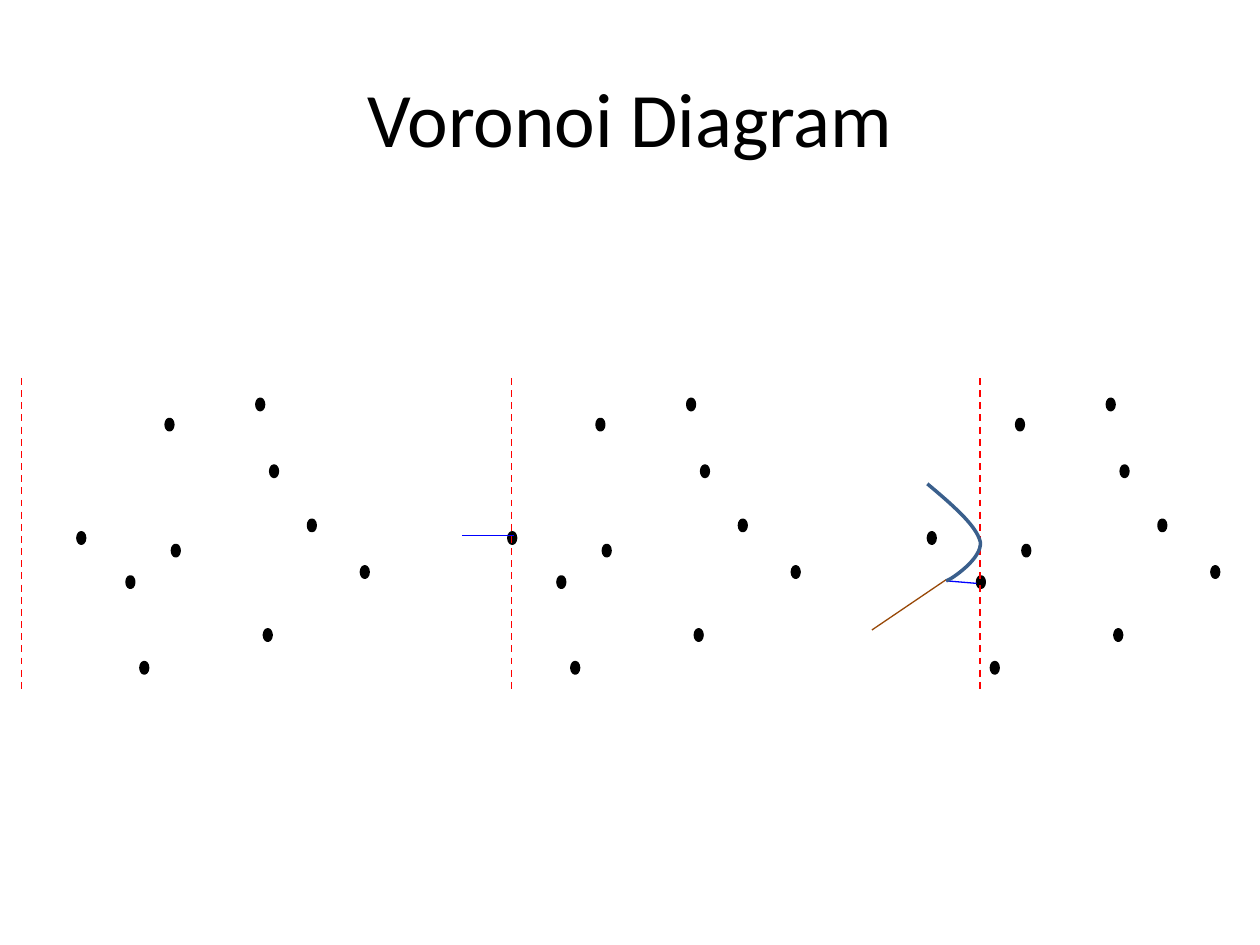
from dataclasses import dataclass
from typing import NamedTuple

from pptx import Presentation
from pptx.dml.color import RGBColor
from pptx.enum.dml import MSO_LINE
from pptx.enum.shapes import MSO_CONNECTOR, MSO_SHAPE
from pptx.enum.text import MSO_ANCHOR, PP_ALIGN
from pptx.oxml.ns import qn
from pptx.util import Inches, Pt

BLACK = RGBColor(0x00, 0x00, 0x00)
RED = RGBColor(0xFF, 0x00, 0x00)
BLUE = RGBColor(0x00, 0x00, 0xFF)
BROWN = RGBColor(0x98, 0x48, 0x07)
STEEL = RGBColor(0x3A, 0x5F, 0x8C)

DASH = MSO_LINE.DASH
STRAIGHT = MSO_CONNECTOR.STRAIGHT
OVAL = MSO_SHAPE.OVAL
MIDDLE = MSO_ANCHOR.MIDDLE
CENTER = PP_ALIGN.CENTER

COLUMNS, ROWS = 10, 7.5
SWEEP_TOP, SWEEP_BOTTOM = 3, 5.5
SITE_WIDTH, SITE_HEIGHT = 0.05, 0.08
CURVE_STEPS = 16


class Point(NamedTuple):
    col: float
    row: float


class Segment(NamedTuple):
    start: Point
    end: Point
    color: RGBColor
    width: float


@dataclass(frozen=True)
class Panel:
    offset: float
    sweep: float


SITES = [
    Point(1.37, 4.33), Point(2.15, 3.7), Point(0.62, 4.23), Point(2.45, 4.13),
    Point(2.1, 5), Point(2.04, 3.17), Point(2.87, 4.5), Point(1.32, 3.33),
    Point(1.01, 4.58), Point(1.12, 5.26),
]
PANELS = [Panel(0, 0.17), Panel(3.42, 4.06), Panel(6.75, 7.78)]
EDGES = [
    Segment(Point(4.08, 4.25), Point(3.67, 4.25), BLUE, 0.75),
    Segment(Point(7.75, 4.63), Point(7.51, 4.61), BLUE, 0.75),
    Segment(Point(7.51, 4.6), Point(6.92, 5), BROWN, 0.75),
]
BEACH_LINE = [
    (Point(7.36, 3.84), Point(7.55, 4), Point(7.75, 4.17), Point(7.78, 4.3)),
    (Point(7.78, 4.3), Point(7.8, 4.43), Point(7.55, 4.6), Point(7.51, 4.61)),
]

prs = Presentation()
prs.slide_width, prs.slide_height = Inches(10), Inches(7.5)
s = prs.slides.add_slide(prs.slide_layouts[6])


def x(col: float) -> int:
    return round(prs.slide_width * col / COLUMNS)


def y(row: float) -> int:
    return round(prs.slide_height * row / ROWS)


def add_title(text: str) -> None:
    tf = s.shapes.add_textbox(x(0.5), y(0.3), x(9), y(1.25)).text_frame
    tf.word_wrap = True
    tf.vertical_anchor = MIDDLE
    p = tf.paragraphs[0]
    p.text = text
    p.alignment = CENTER
    p.font.name, p.font.size = "Calibri", Pt(44)
    p.font.color.rgb = BLACK


def add_site(site: Point, offset: float) -> None:
    sp = s.shapes.add_shape(OVAL, x(site.col + offset), y(site.row),
                            x(SITE_WIDTH), y(SITE_HEIGHT))
    sp.shadow.inherit = False
    sp.fill.solid()
    sp.fill.fore_color.rgb = BLACK
    sp.line.color.rgb = BLACK
    sp.line.width = Pt(2.25)


def add_segment(seg: Segment, dashed: bool = False) -> None:
    line = s.shapes.add_connector(STRAIGHT, x(seg.start.col), y(seg.start.row),
                                  x(seg.end.col), y(seg.end.row))
    line.line.color.rgb = seg.color
    line.line.width = Pt(seg.width)
    if dashed:
        line.line.dash_style = DASH
    sp_pr = line.element.spPr
    sp_pr.append(sp_pr.makeelement(qn("a:effectLst"), {}))


def add_panel(panel: Panel) -> None:
    for site in SITES:
        add_site(site, panel.offset)
    add_segment(Segment(Point(panel.sweep, SWEEP_TOP),
                        Point(panel.sweep, SWEEP_BOTTOM), RED, 1), dashed=True)


def bezier(a: float, b: float, c: float, d: float, t: float) -> float:
    u = 1 - t
    return u**3 * a + 3 * u * u * t * b + 3 * u * t * t * c + t**3 * d


def add_beach_line() -> None:
    points = []
    for curve in BEACH_LINE:
        cols, rows = zip(*curve)
        for step in range(1, CURVE_STEPS + 1):
            t = step / CURVE_STEPS
            points.append((x(bezier(*cols, t)), y(bezier(*rows, t))))
    start = BEACH_LINE[0][0]
    builder = s.shapes.build_freeform(x(start.col), y(start.row))
    builder.add_line_segments(points, close=False)
    sp = builder.convert_to_shape()
    sp.shadow.inherit = False
    sp.fill.background()
    sp.line.color.rgb = STEEL
    sp.line.width = Pt(2)


def main() -> None:
    add_title("Voronoi Diagram")
    for panel in PANELS:
        add_panel(panel)
    for edge in EDGES:
        add_segment(edge)
    add_beach_line()
    prs.save("out.pptx")


if __name__ == "__main__":
    main()
